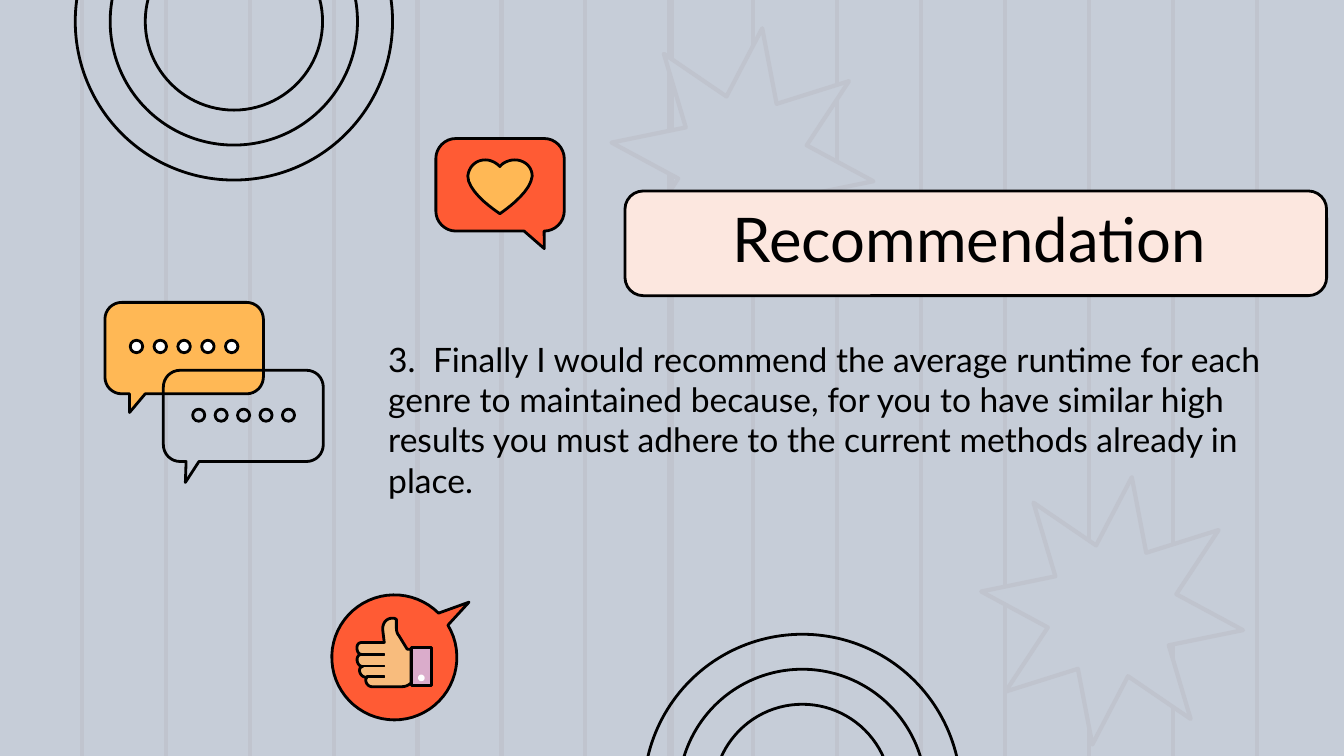
from dataclasses import dataclass
from math import cos, radians, sin

from lxml import etree
from pptx import Presentation
from pptx.dml.color import RGBColor
from pptx.enum.shapes import MSO_CONNECTOR, MSO_SHAPE
from pptx.enum.text import MSO_ANCHOR, MSO_AUTO_SIZE, PP_ALIGN
from pptx.oxml.ns import qn
from pptx.util import Pt

OVAL, RECTANGLE = MSO_SHAPE.OVAL, MSO_SHAPE.RECTANGLE
ROUNDED, STAR = MSO_SHAPE.ROUNDED_RECTANGLE, MSO_SHAPE.STAR_8_POINT
STRAIGHT = MSO_CONNECTOR.STRAIGHT
LEFT, RIGHT = PP_ALIGN.LEFT, PP_ALIGN.RIGHT
TOP, MIDDLE = MSO_ANCHOR.TOP, MSO_ANCHOR.MIDDLE
WIDTH, HEIGHT = 720, 405


@dataclass(frozen=True)
class Theme:
    font: str = "Lato"
    title_size: float = 33
    body_size: float = 18
    ink: str = "000000"
    background: str = "C6CDD8"
    stripe: str = "C0C4CE"
    panel: str = "FCE7DF"
    red: str = "FF5B34"
    yellow: str = "FFB855"
    skin: str = "F8BC7D"
    cuff: str = "DAACCB"
    crease: str = "512944"
    white: str = "FFFFFF"
    outline: float = 1.5
    thin: float = 0.75
    wide: float = 2.25


def arc(centre, radius, start, stop, steps):
    """Points on a circle between two angles in degrees, clockwise on screen."""
    angles = [radians(start + (stop - start) * i / steps) for i in range(steps + 1)]
    return [(centre[0] + radius * cos(a), centre[1] + radius * sin(a)) for a in angles]


def trace(start, *segments, steps=10):
    """Points along lines (x, y) and cubic curves (x1, y1, x2, y2, x, y)."""
    points = [start]
    for segment in segments:
        if len(segment) == 2:
            points.append(segment)
            continue
        knots = [points[-1], segment[:2], segment[2:4], segment[4:]]
        for i in range(1, steps + 1):
            t = i / steps
            weights = ((1 - t) ** 3, 3 * t * (1 - t) ** 2, 3 * t * t * (1 - t), t ** 3)
            points.append(tuple(sum(w * knot[axis] for w, knot in zip(weights, knots))
                                for axis in (0, 1)))
    return points


class SlideArtist:
    def __init__(self, page, theme):
        self.page, self.theme = page, theme
        page.background.fill.solid()
        page.background.fill.fore_color.rgb = RGBColor.from_string(theme.background)

    def paint(self, shape, fill, line, weight):
        shape.shadow.inherit = False
        if fill:
            shape.fill.solid()
            shape.fill.fore_color.rgb = RGBColor.from_string(fill)
        else:
            shape.fill.background()
        if line:
            shape.line.color.rgb = RGBColor.from_string(line)
            shape.line.width = Pt(weight)
        else:
            shape.line.fill.background()
        return shape

    def shape(self, kind, left, top, width, height, fill=None,
              line=Theme.ink, weight=Theme.outline):
        box = self.page.shapes.add_shape(kind, Pt(left), Pt(top), Pt(width), Pt(height))
        return self.paint(box, fill, line, weight)

    def stripe(self, x):
        line = self.page.shapes.add_connector(STRAIGHT, Pt(x), Pt(0), Pt(x), Pt(HEIGHT))
        line.line.color.rgb = RGBColor.from_string(self.theme.stripe)
        line.line.width = Pt(self.theme.wide)
        etree.SubElement(line.element.spPr, qn("a:effectLst"))

    def star(self, left, top):
        star = self.shape(STAR, left, top, 141.8, 144.7, self.theme.background,
                          self.theme.stripe, self.theme.wide)
        star.adjustments[0] = 0.25
        star.rotation = 8.4

    def rings(self, x, y):
        for size in (170, 132.5, 95):
            self.shape(OVAL, x - size / 2, y - size / 2, size, size)

    def freeform(self, points, fill=None):
        corners = [(Pt(x), Pt(y)) for x, y in points]
        builder = self.page.shapes.build_freeform(*corners[0])
        builder.add_line_segments(corners[1:], close=True)
        return self.paint(builder.convert_to_shape(), fill, self.theme.ink, self.theme.outline)

    def bubble(self, left, top, right, bottom, radius, tail, fill=None):
        """Rounded speech bubble; tail is listed from right to left."""
        west, east = left + radius, right - radius
        north, south = top + radius, bottom - radius
        points = arc((east, north), radius, -90, 0, 8)
        points += arc((east, south), radius, 0, 90, 8) + tail
        points += arc((west, south), radius, 90, 180, 8)
        points += arc((west, north), radius, 180, 270, 8)
        self.freeform(points, fill)

    def dots(self, left, top, size, step, fill=None):
        for i in range(5):
            self.shape(OVAL, left + i * step, top, size, size, fill)

    def set_text(self, box, text, size, align, anchor, margins):
        frame = box.text_frame
        frame.text = text
        frame.word_wrap = True
        frame.auto_size = MSO_AUTO_SIZE.NONE
        frame.vertical_anchor = anchor
        (frame.margin_left, frame.margin_top,
         frame.margin_right, frame.margin_bottom) = map(Pt, margins)
        para = frame.paragraphs[0]
        para.alignment = align
        for span in para.runs:
            span.font.name = self.theme.font
            span.font.size = Pt(size)
            span.font.color.rgb = RGBColor.from_string(self.theme.ink)
        return para

    def title(self, text, left, top, width, height):
        title = self.page.shapes.title
        title.left, title.top, title.width, title.height = map(Pt, (left, top, width, height))
        self.page.shapes.element.append(title.element)  # in front of the panel
        self.set_text(title, text, self.theme.title_size, RIGHT, MIDDLE, (7.2, 0, 7.2, 7.2))

    def numbered_text(self, text, left, top, width, height, tab):
        box = self.page.shapes.add_textbox(Pt(left), Pt(top), Pt(width), Pt(height))
        para = self.set_text(box, text, self.theme.body_size, LEFT, TOP, (7.2,) * 4)
        stops = etree.SubElement(para._p.get_or_add_pPr(), qn("a:tabLst"))
        etree.SubElement(stops, qn("a:tab"), pos=str(Pt(tab)), algn="l")


def main():
    deck = Presentation()
    deck.slide_width, deck.slide_height = Pt(WIDTH), Pt(HEIGHT)
    theme = Theme()
    artist = SlideArtist(deck.slides.add_slide(deck.slide_layouts[5]), theme)

    # Background stripes, stars and rings
    artist.stripe(WIDTH / 2)
    for i in range(15):
        artist.stripe(43.9 + 44.95 * i)
    artist.star(524.9, 254.9)
    artist.star(326.9, 14.4)
    artist.rings(125.3, 11.5)
    artist.rings(429.8, 424.8)

    # Title panel and recommendation
    panel = artist.shape(ROUNDED, 334.8, 102.3, 375.9, 56.1, theme.panel)
    panel.adjustments[0] = 0.175
    artist.title("Recommendation", 190.1, 108, 463, 46.1)
    artist.numbered_text(
        "3.\tFinally I would recommend the average runtime for each genre to maintained "
        "because, for you to have similar high results you must adhere to the current "
        "methods already in place.", 200.9, 174.2, 488.2, 137.5, tab=24)

    # Heart bubble
    artist.bubble(233.5, 74.2, 302.3, 123.8, 10.8,
                  [(291.6, 133.2), (280.8, 123.8)], theme.red)
    artist.freeform(trace(
        (275.8, 85.7), (280.8, 85.7, 285.1, 89.3, 285.1, 94.3),
        (284.4, 103.7, 267.8, 114.5, 267.8, 114.5),
        (267.8, 114.5, 250.6, 103.7, 250.6, 94.3),
        (251.3, 88.6, 255.6, 85.7, 259.9, 85.7),
        (262.8, 85.7, 265.7, 87.1, 267.8, 89.3),
        (269.3, 87.1, 272.9, 85.7, 275.8, 85.7)), theme.yellow)

    # Thumb bubble
    artist.freeform(arc((211.3, 352.2), 33.5, -31, 315, 60) + [(251.3, 322.6)], theme.red)
    artist.freeform(trace(
        (210.2, 331.2), (207.4, 331.2, 204.5, 333.4, 205.2, 338.4),
        (205.9, 344.2), (193.7, 344.2),
        (190.1, 344.2, 190.8, 350.6, 193.7, 350.6),
        (190.1, 350.6, 190.8, 357.1, 194.4, 357.1),
        (191.5, 357.1, 192.2, 362.9, 196.6, 362.9),
        (195.1, 364.3, 196.6, 367.9, 199.4, 367.9), (214.6, 367.9),
        (217.4, 367.9, 218.9, 367.2, 220.3, 365.8),
        (220.3, 347.8), (218.2, 347.8), (213.8, 340.6),
        (212.4, 339.1, 212.4, 337, 212.4, 335.5), (212.4, 331.9),
        (211.7, 331.2, 210.9, 331.2, 210.2, 331.2)), theme.skin)
    artist.shape(RECTANGLE, 220.3, 347, 10.8, 20.2, theme.cuff)
    for left, top in ((193.7, 350.3), (194.4, 356.4), (196.6, 362.2)):
        artist.shape(RECTANGLE, left, top, 205.9 - left, 0.7, theme.crease, weight=theme.thin)
    artist.shape(OVAL, 223.9, 361.4, 3.6, 3.6, theme.white, line=None)

    # Two chat bubbles
    artist.bubble(56.2, 162, 141.1, 211, 9,
                  [(77.8, 211), (69.4, 221), (69.4, 211)], theme.yellow)
    artist.dots(69.8, 182.3, 6.7, 12.75, theme.white)
    artist.bubble(87.5, 198.4, 173.2, 247.3, 9,
                  [(106.6, 247.3), (99.3, 258.5), (99.7, 247.3)])
    artist.dots(103.2, 219.2, 6.5, 12.02)

    deck.save("out.pptx")


if __name__ == "__main__":
    main()
